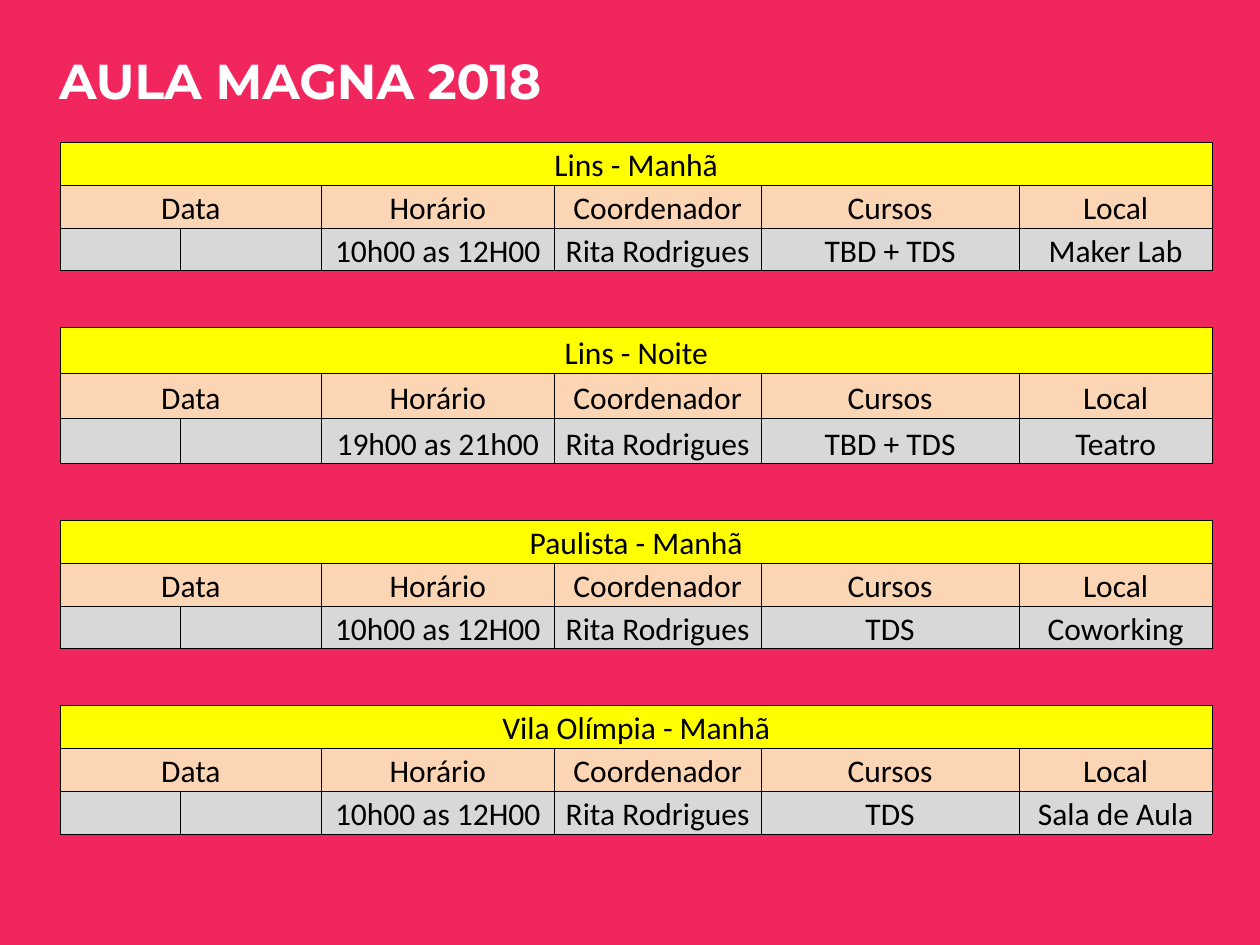
from lxml.etree import SubElement
from pptx import Presentation
from pptx.dml.color import RGBColor
from pptx.enum.text import MSO_ANCHOR, PP_ALIGN
from pptx.oxml.ns import qn
from pptx.util import Inches, Pt

COLORS = {
    "background": "F0265D",
    "title": "FFFFFF",
    "text": "000000",
    "border": "000000",
    "session": "FFFF00",
    "heading": "FCD5B4",
    "detail": "D8D8D8",
}
LEFT, TOP, GAP = 0.48, 1.13, 0.45
COLUMN_WIDTHS = [0.95, 1.12, 1.85, 1.64, 2.05, 1.53]
HEADINGS = ["Data", "", "Horário", "Coordenador", "Cursos", "Local"]
COORDINATOR = "Rita Rodrigues"
# session, time, courses, place, row height
SESSIONS = [
    ("Lins - Manhã", "10h00 as 12H00", "TBD + TDS", "Maker Lab", 0.34),
    ("Lins - Noite", "19h00 as 21h00", "TBD + TDS", "Teatro", 0.36),
    ("Paulista - Manhã", "10h00 as 12H00", "TDS", "Coworking", 0.34),
    ("Vila Olímpia - Manhã", "10h00 as 12H00", "TDS", "Sala de Aula", 0.34),
]


def color(name):
    return RGBColor.from_string(COLORS[name])


def add_run(para, text, font_name, size, color_name, bold=False):
    span = para.add_run()
    span.text = text
    span.font.name = font_name
    span.font.size = Pt(size)
    span.font.bold = bold
    span.font.color.rgb = color(color_name)


def add_title(page, text):
    box = page.shapes.title
    box.left, box.top = Inches(0.37), Inches(0.4)
    box.width, box.height = Inches(6.84), Inches(0.53)
    frame = box.text_frame
    frame.word_wrap = True
    frame.vertical_anchor = MSO_ANCHOR.TOP
    para = frame.paragraphs[0]
    para.alignment = PP_ALIGN.LEFT
    para.line_spacing = 0.9
    add_run(para, text, "Montserrat", 28, "title", bold=True)


def add_borders(cell):
    properties = cell._tc.get_or_add_tcPr()
    for side in ("a:lnL", "a:lnR", "a:lnT", "a:lnB"):
        line = SubElement(properties, qn(side), w=str(Pt(0.5)))
        fill = SubElement(line, qn("a:solidFill"))
        SubElement(fill, qn("a:srgbClr"), val=COLORS["border"])


def fill_cell(cell, text, fill_name):
    add_borders(cell)
    cell.fill.solid()
    cell.fill.fore_color.rgb = color(fill_name)
    cell.margin_left = cell.margin_right = cell.margin_top = Inches(0.01)
    cell.margin_bottom = 0
    cell.vertical_anchor = MSO_ANCHOR.BOTTOM
    para = cell.text_frame.paragraphs[0]
    para.alignment = PP_ALIGN.CENTER
    if text:
        add_run(para, text, "Calibri", 18, "text")


def add_session_table(page, top, row_height, rows):
    """Draw one session: a full-width name, the headings and the details."""
    table = page.shapes.add_table(
        len(rows), len(COLUMN_WIDTHS), Inches(LEFT), Inches(top),
        Inches(sum(COLUMN_WIDTHS)), Inches(row_height * len(rows)),
    ).table
    table.first_row = table.horz_banding = False
    for column, width in zip(table.columns, COLUMN_WIDTHS):
        column.width = Inches(width)
    for row_index, (fill_name, texts) in enumerate(rows):
        table.rows[row_index].height = Inches(row_height)
        for column_index, text in enumerate(texts):
            fill_cell(table.cell(row_index, column_index), text, fill_name)
    table.cell(0, 0).merge(table.cell(0, len(COLUMN_WIDTHS) - 1))
    table.cell(1, 0).merge(table.cell(1, 1))


def main():
    deck = Presentation()
    deck.slide_width, deck.slide_height = Inches(10), Inches(7.5)
    page = deck.slides.add_slide(deck.slide_layouts.get_by_name("Title Only"))
    page.background.fill.solid()
    page.background.fill.fore_color.rgb = color("background")
    add_title(page, "AULA MAGNA 2018")
    top = TOP
    for session, time, courses, place, row_height in SESSIONS:
        rows = [
            ("session", [session] + [""] * (len(COLUMN_WIDTHS) - 1)),
            ("heading", HEADINGS),
            ("detail", ["", "", time, COORDINATOR, courses, place]),
        ]
        add_session_table(page, top, row_height, rows)
        top += row_height * len(rows) + GAP
    deck.save("out.pptx")


if __name__ == "__main__":
    main()
